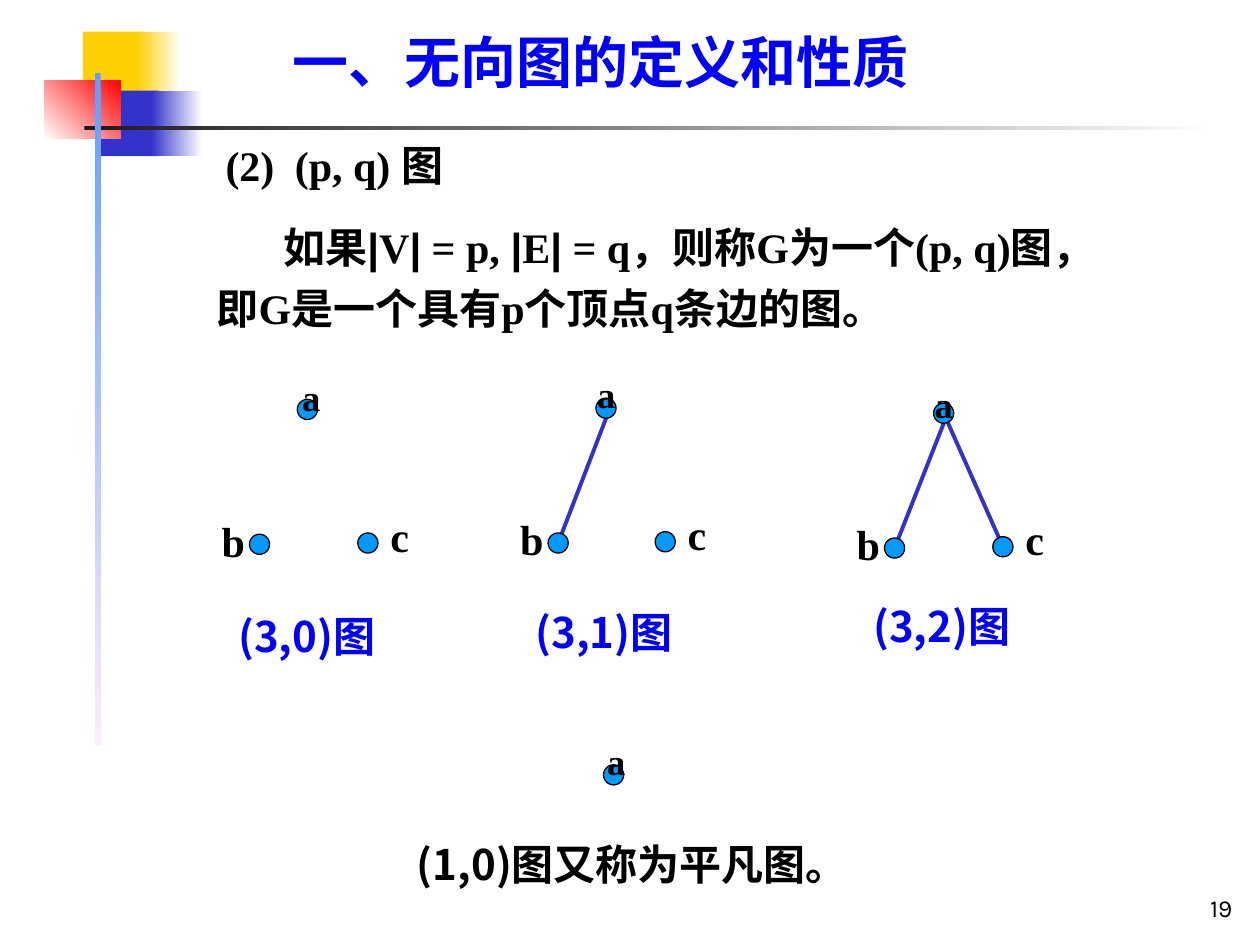
"""Build the slide that defines (p, q) graphs with small example graphs."""
from dataclasses import dataclass
from typing import NamedTuple

from lxml import etree
from pptx import Presentation
from pptx.dml.color import RGBColor
from pptx.enum.shapes import MSO_CONNECTOR, MSO_SHAPE
from pptx.enum.text import MSO_ANCHOR, MSO_AUTO_SIZE, PP_ALIGN
from pptx.oxml.ns import qn
from pptx.util import Inches, Length, Pt

RECTANGLE, ELLIPSE = MSO_SHAPE.RECTANGLE, MSO_SHAPE.OVAL
STRAIGHT = MSO_CONNECTOR.STRAIGHT
GROW = MSO_AUTO_SIZE.SHAPE_TO_FIT_TEXT
LEFT, RIGHT = PP_ALIGN.LEFT, PP_ALIGN.RIGHT
TOP, BOTTOM = MSO_ANCHOR.TOP, MSO_ANCHOR.BOTTOM

COLUMNS, ROWS = 100, 75
DOT = 1.6
RADIUS = DOT / 2


@dataclass(frozen=True)
class Theme:
    """Colours, typefaces and type sizes."""
    ink: str = "000000"
    accent: str = "0000FF"
    vertex: str = "0099FF"
    indigo: str = "3333CC"
    gold: str = "FFCF01"
    red: str = "FF0000"
    white: str = "FFFFFF"
    charcoal: str = "1C1C1C"
    sky: str = "5E9EFF"
    blush: str = "FFEBFA"
    serif: str = "Times New Roman"
    hans: str = "Noto Sans CJK SC"
    bars: str = "Arial"
    number: str = "Karla"
    title_size: int = 32
    body_size: int = 24
    apex_size: int = 36
    number_size: int = 14


THEME = Theme()


class Point(NamedTuple):
    """A place on the grid, in columns and rows."""
    x: float
    y: float

    def shift(self, dx: float, dy: float) -> "Point":
        """Return the place moved by dx columns and dy rows."""
        return Point(self.x + dx, self.y + dy)


class Band(NamedTuple):
    """A decorative rectangle, plain or fading to a second colour."""
    corner: Point
    width: float
    height: float
    start: str
    end: str = ""
    angle: int = 0


class Style(NamedTuple):
    """The look of one text box."""
    size: int = THEME.body_size
    face: str = THEME.serif
    color: str = THEME.ink
    bold: bool = True
    spacing: float = 0.9
    inset: Point = Point(0, 0)
    wrap: bool = True
    align: PP_ALIGN = LEFT
    anchor: MSO_ANCHOR = TOP
    margin: float = 0
    indent: float = 0
    baseline: int = 0


class Graph(NamedTuple):
    """An example graph: places of its vertices, labels and caption."""
    apex: Point
    apex_label: Point
    caption: str
    caption_at: Point
    caption_width: float = 13.8
    caption_style: Style = Style(face=THEME.hans, color=THEME.accent)
    base: tuple[Point, ...] = ()
    edges: int = 0


VERTEX_LABEL = Style(spacing=1, inset=Point(1, 0.5), wrap=False)
APEX_LABEL = VERTEX_LABEL._replace(size=THEME.apex_size, baseline=-25000)
BASE_LABELS = (("b", Point(-3.2, -2), 3.8), ("c", Point(1.6, -2.3), 3.5))
EDGE_STARTS = (DOT, RADIUS)

BANDS = (
    Band(Point(6.6, 2.5), 4.8, 5.2, THEME.gold),
    Band(Point(10.8, 2.5), 3.6, 5.2, THEME.gold, THEME.white),
    Band(Point(8, 7.2), 4.6, 5.2, THEME.indigo),
    Band(Point(12, 7.2), 4, 5.2, THEME.indigo, THEME.white),
    Band(Point(3.5, 6.4), 6.1, 4.6, THEME.white, THEME.red, 45),
    Band(Point(6.7, 10), 90, 0.3, THEME.charcoal, THEME.white),
    Band(Point(7.5, 5.8), 0.5, 53.3, THEME.sky, THEME.blush, 270),
)

GRAPHS = (
    Graph(Point(23.6, 31.7), Point(23, 25.9), "(3,0)图", Point(18.9, 48.9),
          base=(Point(19.8, 42.4), Point(28.4, 42.3))),
    Graph(Point(47.3, 31.6), Point(46.4, 25.7), "(3,1)图", Point(42.5, 48.6),
          base=(Point(43.5, 42.3), Point(52, 42.2)), edges=1),
    Graph(Point(74.1, 32), Point(73.2, 26.5), "(3,2)图", Point(69.3, 48.1),
          base=(Point(70.2, 42.7), Point(78.8, 42.6)), edges=2),
    Graph(Point(47.9, 60.7), Point(47.2, 54.8), "(1,0)图又称为平凡图。",
          Point(33.1, 67), 37.3, Style(face=THEME.hans)),
)


def cells(count: float) -> Length:
    """Turn a count of grid cells into a length."""
    return Inches(round(count / 10, 2))


def draw_shape(shapes, kind: MSO_SHAPE, corner: Point, width: float, height: float):
    """Add a shape without shadow or outline."""
    shape = shapes.add_shape(kind, *map(cells, (*corner, width, height)))
    shape.shadow.inherit = False
    shape.line.fill.background()
    return shape


def draw_band(shapes, band: Band) -> None:
    """Draw one decorative rectangle."""
    fill = draw_shape(shapes, RECTANGLE, band.corner, band.width, band.height).fill
    if not band.end:
        fill.solid()
        fill.fore_color.rgb = RGBColor.from_string(band.start)
        return
    fill.gradient()
    fill.gradient_angle = band.angle
    for stop, color, position in zip(fill.gradient_stops, (band.start, band.end), (0, 1)):
        stop.color.rgb = RGBColor.from_string(color)
        stop.position = position


def draw_text(shapes, parts: tuple[str, ...], corner: Point, width: float,
              height: float, style: Style = Style()) -> None:
    """Write one paragraph, setting the cardinality bars in their own typeface."""
    box = shapes.add_textbox(*map(cells, (*corner, width, height)))
    frame = box.text_frame
    frame.word_wrap = style.wrap
    frame.auto_size = GROW if style.anchor == TOP else MSO_AUTO_SIZE.NONE
    frame.vertical_anchor = style.anchor
    frame.margin_left = frame.margin_right = cells(style.inset.x)
    frame.margin_top = frame.margin_bottom = cells(style.inset.y)
    paragraph = frame.paragraphs[0]
    paragraph.alignment = style.align
    paragraph.line_spacing = style.spacing
    properties = paragraph._p.get_or_add_pPr()
    properties.set("marL", str(cells(style.margin)))
    properties.set("indent", str(cells(style.indent)))
    for part in parts:
        run = paragraph.add_run()
        run.text = part
        run.font.size = Pt(style.size)
        run.font.bold = style.bold
        run.font.color.rgb = RGBColor.from_string(style.color)
        run.font.name = THEME.bars if part == "|" else style.face
        run_properties = run._r.get_or_add_rPr()
        etree.SubElement(run_properties, qn("a:ea")).set("typeface", THEME.hans)
        if style.baseline:
            run_properties.set("baseline", str(style.baseline))


def draw_vertex(shapes, corner: Point) -> None:
    """Draw one vertex dot."""
    dot = draw_shape(shapes, ELLIPSE, corner, DOT, DOT)
    dot.fill.solid()
    dot.fill.fore_color.rgb = RGBColor.from_string(THEME.vertex)
    dot.line.color.rgb = RGBColor.from_string(THEME.ink)
    dot.line.width = Pt(0.75)


def draw_edge(shapes, start: Point, end: Point) -> None:
    """Draw one edge between two places."""
    edge = shapes.add_connector(STRAIGHT, *map(cells, (*start, *end)))
    edge.line.color.rgb = RGBColor.from_string(THEME.indigo)
    edge.line.width = Pt(2.25)
    etree.SubElement(edge._element.spPr, qn("a:effectLst"))


def draw_graph(slide, graph: Graph) -> None:
    """Draw an example graph as one group."""
    shapes = slide.shapes.add_group_shape().shapes
    for vertex, drop in zip(graph.base[:graph.edges], EDGE_STARTS):
        draw_edge(shapes, graph.apex.shift(RADIUS, drop), vertex.shift(RADIUS, RADIUS))
    for vertex in (*graph.base, graph.apex):
        draw_vertex(shapes, vertex)
    draw_text(shapes, ("a",), graph.apex_label, 3.4, 7.9, APEX_LABEL)
    for vertex, (letter, offset, width) in zip(graph.base, BASE_LABELS):
        draw_text(shapes, (letter,), vertex.shift(*offset), width, 5, VERTEX_LABEL)
    draw_text(shapes, (graph.caption,), graph.caption_at, graph.caption_width, 3.6,
              graph.caption_style)


def main() -> None:
    """Assemble and save the slide."""
    deck = Presentation()
    deck.slide_width, deck.slide_height = cells(COLUMNS), cells(ROWS)
    slide = deck.slides.add_slide(deck.slide_layouts[6])
    shapes = slide.shapes
    for band in BANDS:
        draw_band(shapes, band)
    draw_text(shapes, ("19",), Point(78, 68.7), 20.8, 5,
              Style(THEME.number_size, THEME.number, bold=False, spacing=1,
                    inset=Point(1, 0.5), align=RIGHT, anchor=BOTTOM))
    definition = ("如果", "|", "V", "|", " = p, ", "|", "E", "|",
                  " = q，则称G为一个(p, q)图，即G是一个具有p个顶点q条边的图。")
    draw_text(shapes, definition, Point(13.4, 16.8), 74.4, 9.6,
              Style(spacing=1.2, margin=3.8, indent=5.3))
    draw_text(shapes, ("(2)\t(p, q) 图",), Point(17.9, 11.5), 35.3, 3.6,
              Style(margin=5.5, indent=-5.5))
    for graph in GRAPHS:
        draw_graph(slide, graph)
    draw_text(shapes, ("一、无向图的定义和性质",), Point(23.2, 2.8), 54.8, 4.8,
              Style(THEME.title_size, color=THEME.accent))
    deck.save("out.pptx")


if __name__ == "__main__":
    main()
